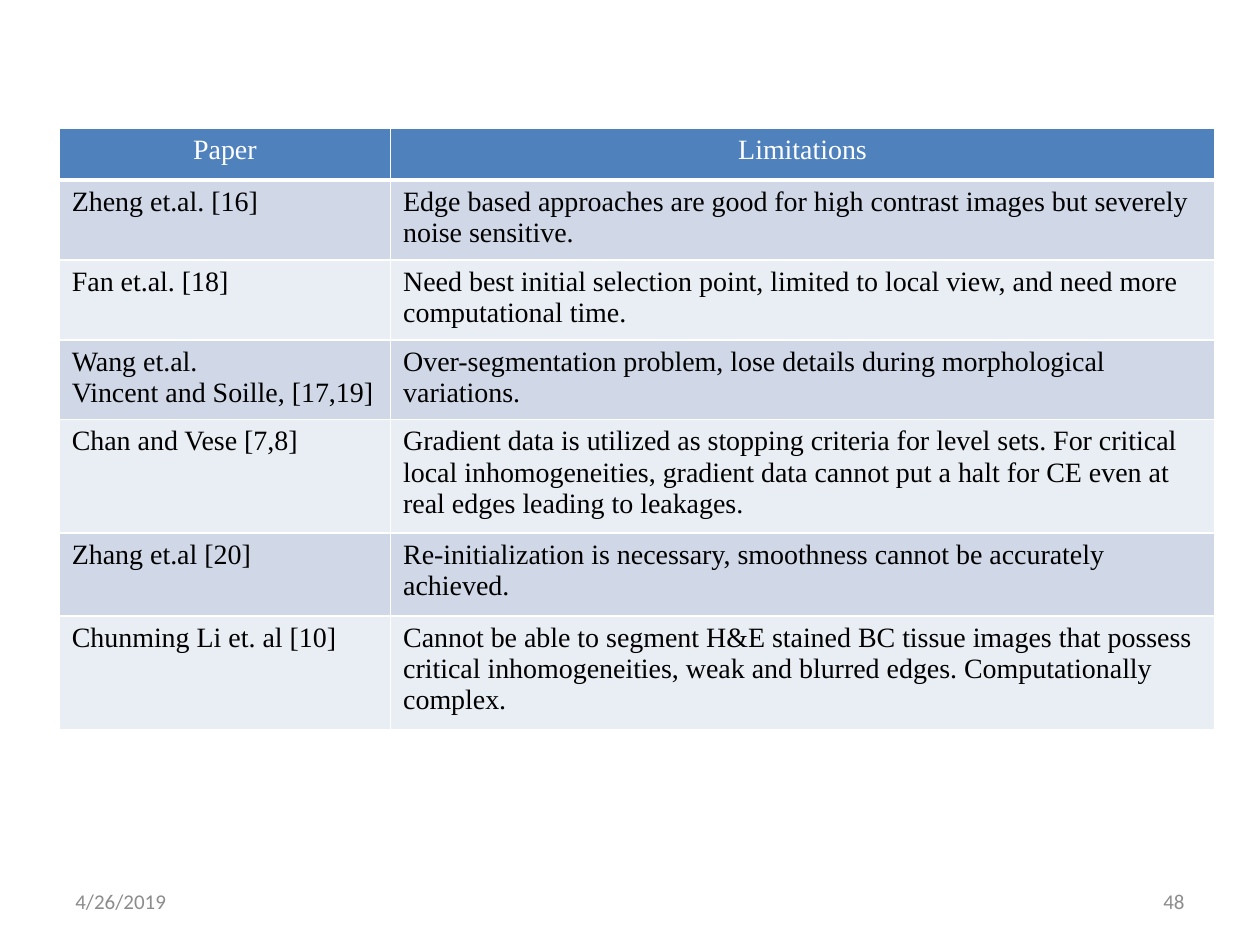
from lxml.etree import SubElement
from pptx import Presentation
from pptx.dml.color import RGBColor
from pptx.enum.text import MSO_ANCHOR, PP_ALIGN
from pptx.oxml.ns import qn
from pptx.util import Inches, Pt

# Content
HEADER = ("Paper", "Limitations")
PAPERS = [
    ("Zheng et.al. [16]",
     "Edge based approaches are good for high contrast images but severely noise sensitive."),
    ("Fan et.al. [18]",
     "Need best initial selection point, limited to local view, and need more computational time."),
    ("Wang et.al.\nVincent and Soille, [17,19]",
     "Over-segmentation problem, lose details during morphological variations."),
    ("Chan and Vese [7,8]",
     "Gradient data is utilized as stopping criteria for level sets. For critical local "
     "inhomogeneities, gradient data cannot put a halt for CE even at real edges leading to leakages."),
    ("Zhang et.al [20]",
     "Re-initialization is necessary, smoothness cannot be accurately achieved."),
    ("Chunming Li et. al [10]",
     "Cannot be able to segment H&E stained BC tissue images that possess critical "
     "inhomogeneities, weak and blurred edges. Computationally complex."),
]
FOOTERS = [("4/26/2019", PP_ALIGN.LEFT), ("48", PP_ALIGN.RIGHT)]

# Style and layout
COLORS = {"header": "4F81BD", "odd": "D0D8E8", "even": "E9EDF4",
          "line": "FFFFFF", "text": "000000", "footer": "8C8C8C"}
WIDTH, HEIGHT = 10, 7.5
TABLE_LEFT, TABLE_TOP = 0.47, 1.02
COLUMN_WIDTHS = (2.63, 6.54)
BASE_ROW = 0.41
TALL_ROWS = {3: 0.56, 5: 0.66}
FOOTER_MARGIN, FOOTER_TOP, FOOTER_WIDTH, FOOTER_HEIGHT = 0.5, 6.95, 2.33, 0.4


def color(name):
    return RGBColor.from_string(COLORS[name])


def style_paragraph(paragraph, font_name, size, color_name, alignment):
    paragraph.alignment = alignment
    font = paragraph.font
    font.name, font.size, font.bold = font_name, Pt(size), False
    font.color.rgb = color(color_name)


def add_borders(cell, bottom_width):
    properties = cell._tc.get_or_add_tcPr()
    for tag, width in (("lnL", 1), ("lnR", 1), ("lnT", 1), ("lnB", bottom_width)):
        line = SubElement(properties, qn(f"a:{tag}"), w=str(Pt(width)))
        fill = SubElement(line, qn("a:solidFill"))
        SubElement(fill, qn("a:srgbClr"), val=COLORS["line"])


def add_limitations_table(slide):
    rows = [HEADER, *PAPERS]
    heights = [TALL_ROWS.get(index, BASE_ROW) for index in range(len(rows))]
    # Rows grow from these minimum heights to fit their text
    if heights[2] == BASE_ROW:
        heights[2] = BASE_ROW
    table = slide.shapes.add_table(
        len(rows), len(HEADER), Inches(TABLE_LEFT), Inches(TABLE_TOP),
        Inches(sum(COLUMN_WIDTHS)), Inches(sum(heights))).table
    for column, width in zip(table.columns, COLUMN_WIDTHS):
        column.width = Inches(width)
    for row_index, (texts, height) in enumerate(zip(rows, heights)):
        table.rows[row_index].height = Inches(height)
        is_header = row_index == 0
        fill_name = "header" if is_header else "odd" if row_index % 2 else "even"
        for column_index, text in enumerate(texts):
            cell = table.cell(row_index, column_index)
            add_borders(cell, 3 if is_header else 1)
            cell.fill.solid()
            cell.fill.fore_color.rgb = color(fill_name)
            cell.text = text
            for paragraph in cell.text_frame.paragraphs:
                style_paragraph(paragraph, "Times New Roman", 16,
                                "line" if is_header else "text",
                                PP_ALIGN.CENTER if is_header else PP_ALIGN.LEFT)


def add_footers(slide):
    lefts = (FOOTER_MARGIN, WIDTH - FOOTER_MARGIN - FOOTER_WIDTH)
    for (text, alignment), left in zip(FOOTERS, lefts):
        frame = slide.shapes.add_textbox(
            Inches(left), Inches(FOOTER_TOP),
            Inches(FOOTER_WIDTH), Inches(FOOTER_HEIGHT)).text_frame
        frame.word_wrap = True
        frame.vertical_anchor = MSO_ANCHOR.MIDDLE
        frame.text = text
        style_paragraph(frame.paragraphs[0], "Calibri", 12, "footer", alignment)


def main():
    presentation = Presentation()
    presentation.slide_width, presentation.slide_height = Inches(WIDTH), Inches(HEIGHT)
    slide = presentation.slides.add_slide(presentation.slide_layouts[6])
    add_footers(slide)
    add_limitations_table(slide)
    presentation.save("out.pptx")


if __name__ == "__main__":
    main()
